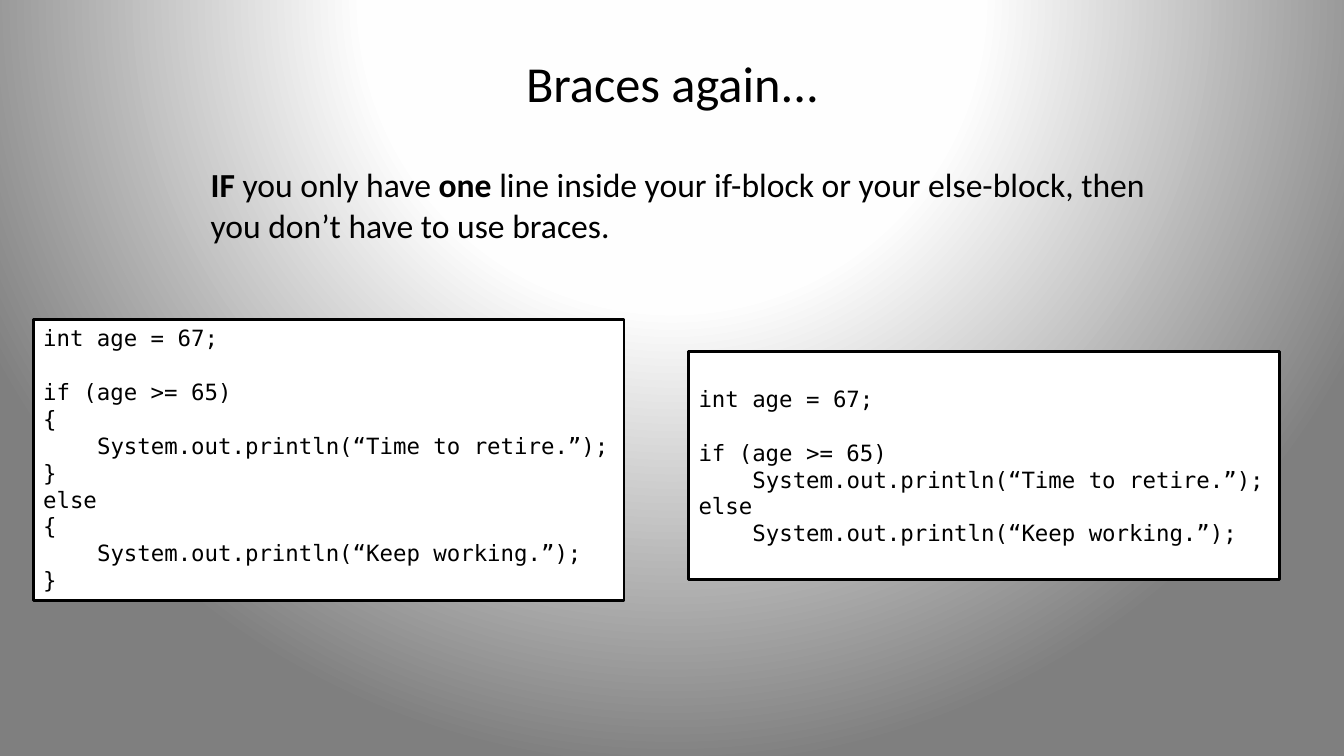
import pptx
import pptx.dml.color
import pptx.enum.shapes
import pptx.enum.text
import pptx.oxml
import pptx.oxml.ns
import pptx.util
from pptx.util import Inches

BLACK = pptx.dml.color.RGBColor(0x00, 0x00, 0x00)
WHITE = pptx.dml.color.RGBColor(0xFF, 0xFF, 0xFF)
NEAR_WHITE = pptx.dml.color.RGBColor(0xFE, 0xFE, 0xFE)
GRAY = pptx.dml.color.RGBColor(0x7F, 0x7F, 0x7F)


class BracesSlide:
    BODY_FONT = "Calibri"
    CODE_FONT = "DejaVu Sans Mono"
    CODE_SIZE = 16
    CODE_LINE = 19.2  # height of one skipped line, in points
    CODE_INDENT = Inches(0.535)  # four characters

    def __init__(self, slide):
        self.slide = slide

    def style(self, paragraph, font_name, size):
        font = paragraph.font
        font.name = font_name
        font.size = pptx.util.Pt(size)
        font.color.rgb = BLACK

    def spotlight(self, stops):
        """Radial background glowing from above the slide."""
        self.slide.background.fill.gradient()
        qn = pptx.oxml.ns.qn
        gradient = next(self.slide.element.iter(qn("a:gradFill")))
        for child in list(gradient):
            gradient.remove(child)
        colors = "".join(
            f'<a:gs pos="{percent * 1000}"><a:srgbClr val="{color}"/></a:gs>'
            for percent, color in stops)
        glow = pptx.oxml.parse_xml(
            f'<a:gradFill {pptx.oxml.ns.nsdecls("a")}><a:gsLst>{colors}</a:gsLst>'
            '<a:path path="circle"><a:fillToRect l="50000" t="-80000" '
            'r="50000" b="180000"/></a:path></a:gradFill>')
        for child in list(glow):
            gradient.append(child)

    def text(self, box, lines, size, align, anchor):
        """Lines of (words, bold) pieces, kept in one paragraph."""
        frame = self.slide.shapes.add_textbox(*map(Inches, box)).text_frame
        frame.word_wrap = True
        frame.vertical_anchor = anchor
        paragraph = frame.paragraphs[0]
        paragraph.alignment = align
        self.style(paragraph, self.BODY_FONT, size)
        for number, pieces in enumerate(lines):
            if number:
                paragraph.add_line_break()
            for words, bold in pieces:
                run = paragraph.add_run()
                run.text = words
                run.font.bold = bold

    def code(self, box, lines, top_inset=0.05):
        """Code panel; lines are (text, indented, gap above)."""
        panel = self.slide.shapes.add_shape(
            pptx.enum.shapes.MSO_SHAPE.RECTANGLE, *map(Inches, box))
        panel.shadow.inherit = False
        panel.fill.solid()
        panel.fill.fore_color.rgb = WHITE
        panel.line.color.rgb = BLACK
        panel.line.width = pptx.util.Pt(2)
        frame = panel.text_frame
        frame.word_wrap = True
        frame.vertical_anchor = pptx.enum.text.MSO_ANCHOR.TOP
        frame.margin_top = Inches(top_inset)
        for number, (words, indented, gap) in enumerate(lines):
            paragraph = frame.add_paragraph() if number else frame.paragraphs[0]
            paragraph.text = words
            paragraph.alignment = pptx.enum.text.PP_ALIGN.LEFT
            self.style(paragraph, self.CODE_FONT, self.CODE_SIZE)
            if gap:
                paragraph.space_before = pptx.util.Pt(self.CODE_LINE)
            if indented:
                properties = paragraph._p.get_or_add_pPr()
                properties.set("marL", str(self.CODE_INDENT))
                properties.set("indent", "0")


def main():
    deck = pptx.Presentation()
    deck.slide_width, deck.slide_height = Inches(13.33), Inches(7.5)
    braces = BracesSlide(deck.slides.add_slide(deck.slide_layouts[6]))
    align, anchor = pptx.enum.text.PP_ALIGN, pptx.enum.text.MSO_ANCHOR

    # Background
    braces.spotlight([(0, WHITE), (40, NEAR_WHITE), (100, GRAY)])

    # Title and rule
    braces.text((0.67, 0.3, 12, 1.03), [[("Braces again...", False)]],
                36, align.CENTER, anchor.MIDDLE)
    rule = [
        [("IF", True), (" you only have ", False), ("one", True),
         (" line inside your if-block or your else-block, then", False)],
        [("you don’t have to use braces.", False)],
    ]
    braces.text((1.99, 1.58, 9.59, 0.91), rule, 24, align.LEFT, anchor.TOP)

    # The same code with and without braces
    age = ("int age = 67;", False, False)
    condition = ("if (age >= 65)", False, True)
    retire = ("System.out.println(“Time to retire.”);", True, False)
    otherwise = ("else", False, False)
    keep_working = ("System.out.println(“Keep working.”);", True, False)
    opening, closing = ("{", False, False), ("}", False, False)
    braces.code((0.33, 3.17, 5.86, 2.79),
                [age, condition, opening, retire, closing,
                 otherwise, opening, keep_working, closing])
    braces.code((6.83, 3.49, 5.86, 2.26),
                [age, condition, retire, otherwise, keep_working],
                top_inset=0.33)

    deck.save("out.pptx")


if __name__ == "__main__":
    main()
